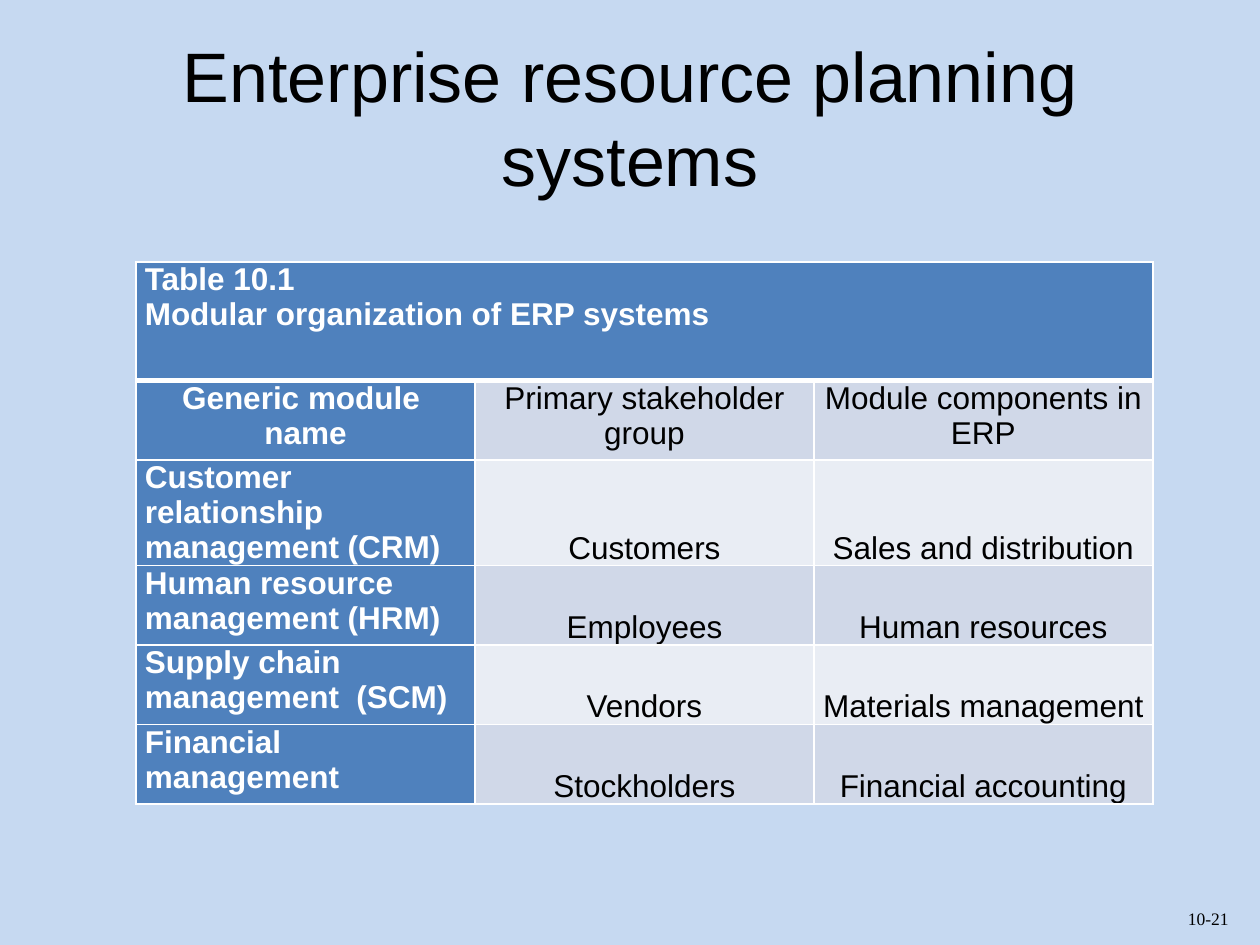
from lxml import etree
from pptx import Presentation, util as u
from pptx.dml.color import RGBColor
from pptx.enum import text
from pptx.oxml.ns import qn

Inches, Pt = u.Inches, u.Pt
BLUE, WHITE, BLACK = "4F81BD", "FFFFFF", "000000"
BANDS = ["D0D8E8", "E9EDF4"]


def write(para, words, size, color, bold=False, font="Arial"):
    run = para.add_run()
    run.text = words
    run.font.size, run.font.name, run.font.bold = Pt(size), font, bold
    run.font.color.rgb = RGBColor.from_string(color)


def edge(cell, side, width):
    """Draw a white border on one side (L, R, T or B) of a cell."""
    props = cell._tc.get_or_add_tcPr()
    line = etree.SubElement(props, qn("a:ln" + side), w=str(Pt(width)))
    fill = etree.SubElement(line, qn("a:solidFill"))
    etree.SubElement(fill, qn("a:srgbClr"), val=WHITE)


deck = Presentation()
deck.slide_width, deck.slide_height = Inches(10), Inches(7.5)
slide = deck.slides.add_slide(deck.slide_layouts[5])
slide.background.fill.solid()
slide.background.fill.fore_color.rgb = RGBColor.from_string("C6D9F1")

title = slide.shapes.title
title.left, title.top = Inches(0.5), Inches(0.3)
title.width, title.height = Inches(9), Inches(1.25)
frame = title.text_frame
frame.vertical_anchor = text.MSO_ANCHOR.MIDDLE
frame.paragraphs[0].alignment = text.PP_ALIGN.CENTER
write(frame.paragraphs[0], "Enterprise resource planning systems", 40, BLACK)

# Each cell is a list of paragraphs
rows = [
    [["Table 10.1", "Modular organization of ERP systems"], [], []],
    [["Generic module ", "name"], ["Primary stakeholder group"],
     ["Module components in ERP"]],
    [["Customer relationship management (CRM)"], ["Customers"],
     ["Sales and distribution"]],
    [["Human resource management (HRM)"], ["Employees"],
     ["Human resources"]],
    [["Supply chain management  (SCM)"], ["Vendors"],
     ["Materials management"]],
    [["Financial", "management"], ["Stockholders"],
     ["Financial accounting"]],
]
table = slide.shapes.add_table(len(rows), 3, Inches(1.08), Inches(2.08),
                               Inches(8.08), Inches(4.09)).table
table.first_col = True
for col in table.columns:
    col.width = Inches(2.69)
for r, row in enumerate(rows):
    table.rows[r].height = Inches(0.63 if r else 0.94)
    for c, lines in enumerate(row):
        cell = table.cell(r, c)
        head = r == 0 or c == 0
        cell.margin_left = cell.margin_right = Inches(0.07)
        cell.margin_top = cell.margin_bottom = 0
        low = r > 1 and c > 0
        cell.vertical_anchor = (text.MSO_ANCHOR.BOTTOM if low
                                else text.MSO_ANCHOR.TOP)
        edge(cell, "L", 1)
        edge(cell, "R", 1)
        edge(cell, "T", 3 if r == 1 else 1)
        edge(cell, "B", 3 if r == 0 else 1)
        cell.fill.solid()
        shade = BLUE if head else BANDS[(r - 1) % 2]
        cell.fill.fore_color.rgb = RGBColor.from_string(shade)
        frame = cell.text_frame
        for i, line in enumerate(lines):
            para = frame.add_paragraph() if i else frame.paragraphs[0]
            mid = r == 1 or not head
            para.alignment = (text.PP_ALIGN.CENTER if mid
                              else text.PP_ALIGN.LEFT)
            write(para, line, 18, WHITE if head else BLACK, head)
table.cell(0, 0).merge(table.cell(0, 2))

page = slide.shapes.add_textbox(Inches(9.33), Inches(7.16),
                                Inches(0.67), Inches(0.27))
write(page.text_frame.paragraphs[0], "10-21", 10, BLACK,
      font="Times New Roman")

deck.save("out.pptx")
